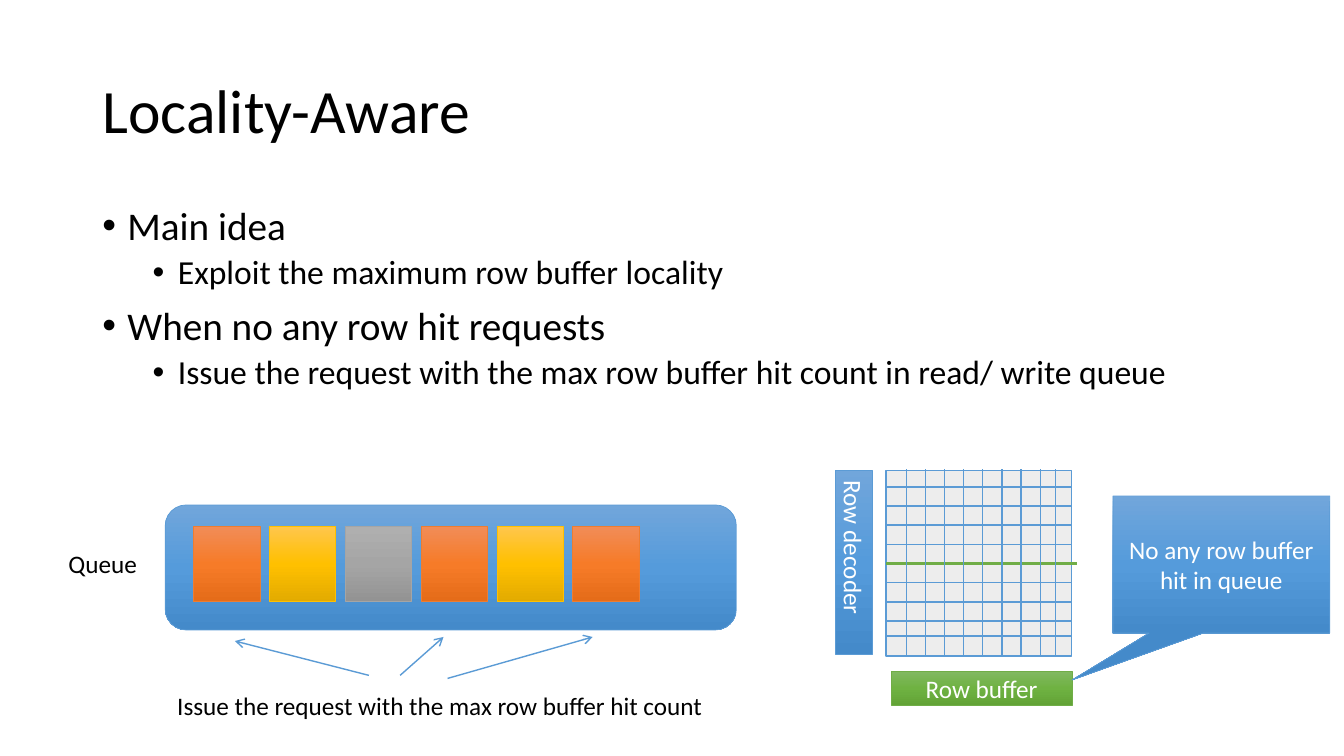
from copy import deepcopy

from pptx import Presentation
from pptx.dml.color import RGBColor
from pptx.enum.shapes import MSO_CONNECTOR as Connector, MSO_SHAPE as Shape
from pptx.enum.text import MSO_ANCHOR as Anchor, PP_ALIGN as Align
from pptx.oxml.ns import qn
from pptx.oxml.xmlchemy import OxmlElement
from pptx.util import Pt

COLORS = {
    "black": "000000", "white": "FFFFFF", "array": "EDEDED",
    "blue": "5B9BD5", "orange": "ED7D31", "gold": "FFC000",
    "gray": "A5A5A5", "green": "70AD47",
}
GRADIENTS = {
    "blue": ("71A6DB", "559BDB", "448ACA"),
    "orange": ("F18C57", "F67B28", "E56C19"),
    "gold": ("FFC64B", "FFC000", "E3AB00"),
    "gray": ("AFAFAF", "A5A5A5", "939393"),
    "green": ("81B861", "6FB242", "62A336"),
}


def color(name):
    return RGBColor.from_string(COLORS[name])


def place(shape, left, top, width, height):
    shape.left, shape.top = Pt(left), Pt(top)
    shape.width, shape.height = Pt(width), Pt(height)


def write(para, text, size=18, ink="black", align=Align.LEFT, spacing=None, before=0):
    para.alignment = align
    para.line_spacing = spacing
    para.space_before = Pt(before)
    span = para.add_run()
    span.text = text
    span.font.name = "Calibri"
    span.font.size = Pt(size)
    span.font.color.rgb = color(ink)


def add_bullet(para, indent):
    properties = para._p.get_or_add_pPr()
    properties.set("marL", str(Pt(indent)))
    properties.set("indent", str(Pt(-18)))
    font = OxmlElement("a:buFont")
    font.set("typeface", "Arial")
    mark = OxmlElement("a:buChar")
    mark.set("char", "•")
    properties.extend([font, mark])


def add_body(page, items):
    box = page.shapes.add_textbox(Pt(66), Pt(144), Pt(828), Pt(342.7))
    frame = box.text_frame
    frame.word_wrap = True
    for number, (level, text) in enumerate(items):
        para = frame.add_paragraph() if number else frame.paragraphs[0]
        para.level = level
        write(para, text, size=28 - 4 * level, spacing=0.9, before=10 - 5 * level)
        add_bullet(para, 18 + 36 * level)


def add_label(page, text, *area):
    box = page.shapes.add_textbox(*map(Pt, area))
    box.text_frame.word_wrap = False
    write(box.text_frame.paragraphs[0], text)


def fill_gradient(shape, tone):
    shape.fill.gradient()
    shape.fill.gradient_angle = 270
    stops = shape._element.spPr.find(".//" + qn("a:gsLst"))
    stops.insert(1, deepcopy(stops[0]))
    for number, (stop, shade) in enumerate(zip(shape.fill.gradient_stops, GRADIENTS[tone])):
        stop.position = number / 2
        stop.color.rgb = RGBColor.from_string(shade)


def add_block(page, kind, area, tone, text=None):
    shape = page.shapes.add_shape(kind, *map(Pt, area))
    shape.shadow.inherit = False
    fill_gradient(shape, tone)
    shape.line.color.rgb = color(tone)
    shape.line.width = Pt(0.5)
    if text:
        shape.text_frame.vertical_anchor = Anchor.MIDDLE
        write(shape.text_frame.paragraphs[0], text, ink="white", align=Align.CENTER)
    return shape


def add_line(page, start, end, tone="blue", width=1, arrow=False):
    line = page.shapes.add_connector(Connector.STRAIGHT, *map(Pt, (*start, *end)))
    line.line.color.rgb = color(tone)
    line.line.width = Pt(width)
    if arrow:
        tail = OxmlElement("a:tailEnd")
        tail.set("type", "arrow")
        line.line._get_or_add_ln().append(tail)
    line._element.spPr.append(OxmlElement("a:effectLst"))


def add_queue(page):
    add_block(page, Shape.ROUNDED_RECTANGLE, (118, 360.7, 408, 89.3), "blue")
    tones = ("orange", "gold", "gray", "orange", "gold", "orange")
    for number, tone in enumerate(tones):
        add_block(page, Shape.RECTANGLE, (138.2 + 54.2 * number, 376.3, 47.5, 53.3), tone)
    arrows = (
        ((263.5, 482.4), (167.8, 457.9)),
        ((285.8, 482.4), (316.8, 455)),
        ((319.7, 484.6), (423.4, 455)),
    )
    for start, end in arrows:
        add_line(page, start, end, arrow=True)
    add_label(page, "Issue the request with the max row buffer hit count", 119.5, 489.6, 395.3, 28.8)
    add_label(page, "Queue", 41.8, 388.1, 64, 28.8)


def add_memory(page):
    decoder = add_block(page, Shape.RECTANGLE, (597, 336.2, 26, 131), "blue", "Row decoder")
    decoder.text_frame._txBody.bodyPr.set("vert", "eaVert")
    add_block(page, Shape.RECTANGLE, (636.4, 479.5, 129.6, 24.2), "green", "Row buffer")

    left, top, side, gap = 633, 336.2, 132.5, 13.68
    array = page.shapes.add_shape(Shape.RECTANGLE, *map(Pt, (left, top, side, side)))
    array.shadow.inherit = False
    array.fill.solid()
    array.fill.fore_color.rgb = color("array")
    array.line.color.rgb = color("blue")
    array.line.width = Pt(1)

    open_row = 4
    rows = [347.8 + gap * number for number in range(8)] + [454.3]
    for number, row in enumerate(rows):
        if number == open_row:
            add_line(page, (left, row), (left + 136, row), "green", 2.75)
        else:
            add_line(page, (left, row), (left + side, row))
    columns = [647.3 + gap * number for number in range(8)] + [753.8]
    for column in columns:
        add_line(page, (column, 468), (column, 335.2))

    callout = add_block(page, Shape.RECTANGULAR_CALLOUT, (795, 354.2, 154.8, 98), "blue",
                        "No any row buffer hit in queue")
    callout.adjustments[0] = -0.69
    callout.adjustments[1] = 0.843


def main():
    deck = Presentation()
    deck.slide_width, deck.slide_height = Pt(960), Pt(540)
    page = deck.slides.add_slide(deck.slide_layouts[5])
    title = page.shapes.title
    place(title, 66, 28.8, 828, 104.4)
    title.text_frame.vertical_anchor = Anchor.MIDDLE
    write(title.text_frame.paragraphs[0], "Locality-Aware", size=44, spacing=0.9)
    add_body(page, (
        (0, "Main idea"),
        (1, "Exploit the maximum row buffer locality"),
        (0, "When no any row hit requests"),
        (1, "Issue the request with the max row buffer hit count in read/ write queue"),
    ))
    add_queue(page)
    add_memory(page)
    deck.save("out.pptx")


if __name__ == "__main__":
    main()
